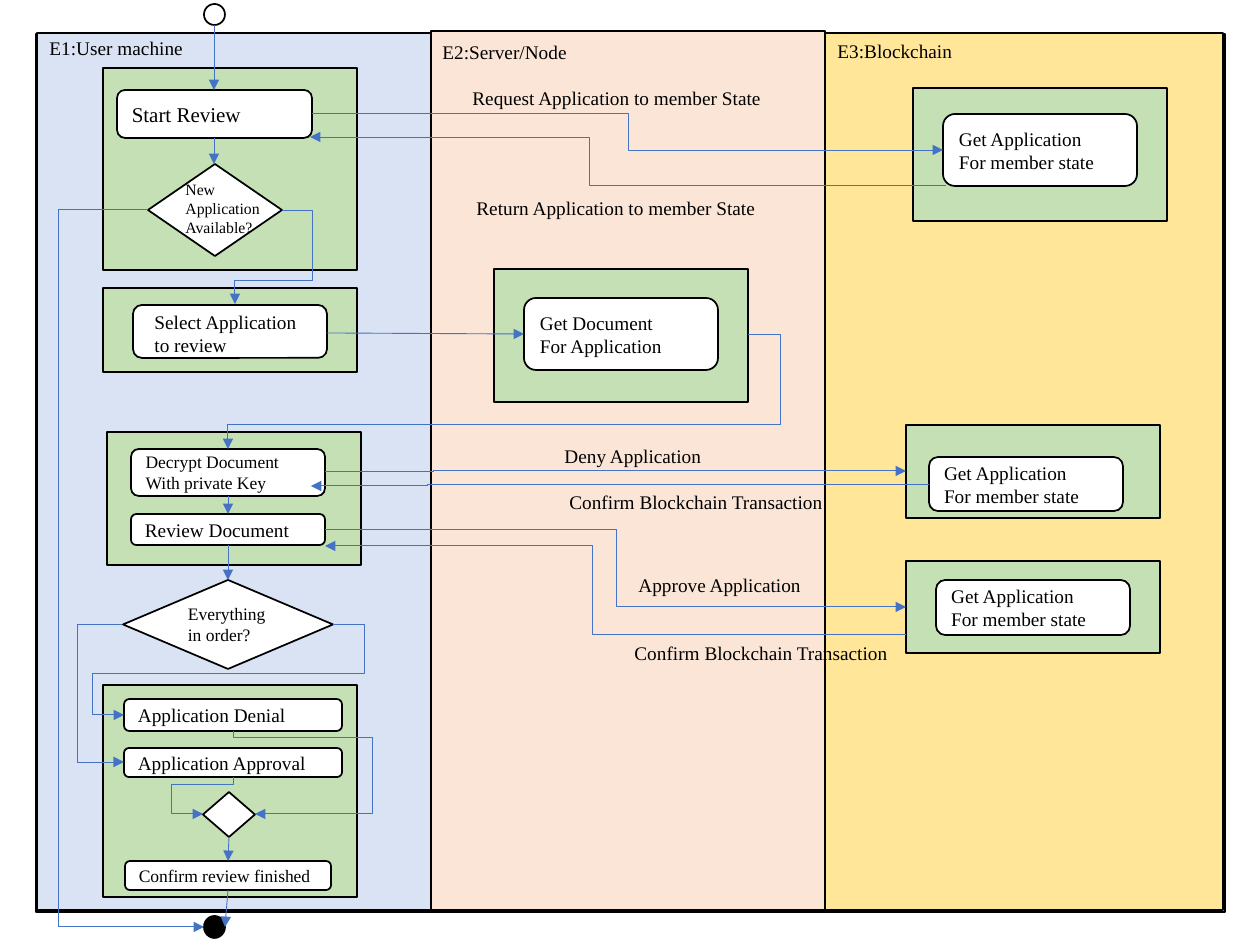
from lxml.etree import SubElement
from pptx import Presentation
from pptx.dml.color import RGBColor
from pptx.enum.shapes import MSO_CONNECTOR as LINK, MSO_SHAPE as SHAPE
from pptx.enum.text import MSO_ANCHOR, MSO_AUTO_SIZE, PP_ALIGN
from pptx.oxml.ns import qn
from pptx.util import Emu, Pt

BLACK = RGBColor(0x00, 0x00, 0x00)
WHITE = RGBColor(0xFF, 0xFF, 0xFF)
BLUE = RGBColor(0xDA, 0xE3, 0xF3)
PEACH = RGBColor(0xFB, 0xE5, 0xD6)
GOLD = RGBColor(0xFF, 0xE6, 0x99)
GREEN = RGBColor(0xC5, 0xE0, 0xB4)
FLOW = RGBColor(0x44, 0x72, 0xC4)
SCALE = 914400 / 126
RECT, ROUND = SHAPE.RECTANGLE, SHAPE.ROUNDED_RECTANGLE
DIAMOND, OVAL = SHAPE.DIAMOND, SHAPE.OVAL
MEMBER_STATE = "Get Application\nFor member state"
CONFIRM = "Confirm Blockchain Transaction"


def px(*lengths):
    """Turn pixel lengths into EMU."""
    return [Emu(round(length * SCALE)) for length in lengths]


def write(holder, words, size):
    """Put left-aligned black text into a shape, one paragraph per line."""
    frame = holder.text_frame
    frame.word_wrap = True
    frame.text = words
    for paragraph in frame.paragraphs:
        paragraph.alignment = PP_ALIGN.LEFT
        font_format = {"name": "Times New Roman", "size": Pt(size)}
        for key, value in font_format.items():
            setattr(paragraph.font, key, value)
        paragraph.font.color.rgb = BLACK


deck = Presentation()
deck.slide_width, deck.slide_height = px(1260, 945)
slide = deck.slides.add_slide(deck.slide_layouts[6])

# Swimlanes, activity panels and flow nodes: kind, box, fill, words, text size
lanes = [
    (RECT, (36, 34, 1189, 878), WHITE, "", 0),
    (RECT, (37, 33, 411, 877), BLUE, "", 0),
    (RECT, (431, 31, 394, 879), PEACH, "", 0),
    (RECT, (825, 33, 398, 877), GOLD, "", 0),
]
panels = [(RECT, (left, top, 254, height), GREEN, "", 0) for left, top, height in (
    (103, 68, 202), (103, 288, 84), (107, 432, 133), (103, 685, 212),
    (494, 269, 133), (913, 88, 133), (906, 425, 93), (906, 561, 92),
)]
nodes = [
    (DIAMOND, (148, 164, 134, 92), WHITE, "", 0),
    (DIAMOND, (123, 580, 210, 89), WHITE, "Everything in order?", 10),
    (DIAMOND, (203, 792, 52, 45), WHITE, "", 0),
    (ROUND, (117, 90, 195, 48), WHITE, "Start Review", 12),
    (ROUND, (125, 861, 206, 29), WHITE, "Confirm review finished", 10),
    (ROUND, (124, 699, 218, 32), WHITE, "Application Denial", 11),
    (ROUND, (124, 748, 218, 29), WHITE, "Application Approval", 11),
    (ROUND, (131, 514, 194, 31), WHITE, "Review Document", 11),
    (ROUND, (131, 449, 194, 47), WHITE, "Decrypt Document\nWith private Key", 10),
    (ROUND, (133, 305, 194, 53), WHITE, "", 0),
    (ROUND, (943, 114, 194, 72), WHITE, MEMBER_STATE, 11),
    (ROUND, (524, 298, 194, 72), WHITE, "Get Document\nFor Application", 11),
    (ROUND, (929, 457, 194, 54), WHITE, MEMBER_STATE, 11),
    (ROUND, (936, 580, 194, 55), WHITE, MEMBER_STATE, 11),
    (OVAL, (204, 4, 21, 21), WHITE, "", 0),
    (OVAL, (204, 916, 21, 22), BLACK, "", 0),
]
side_middles = {0: (0.5, 0), 1: (0, 0.5), 2: (0.5, 1), 3: (1, 0.5)}
oval_left = {2: (0, 0.5)}
sites = []
for kind, box, fill, words, size in lanes + panels + nodes:
    node = slide.shapes.add_shape(kind, *px(*box))
    node.shadow.inherit = False
    node.fill.solid()
    node.fill.fore_color.rgb = fill
    node.line.color.rgb = BLACK
    node.line.width = Pt(1)
    if words:
        write(node, words, size)
        node.text_frame.vertical_anchor = MSO_ANCHOR.MIDDLE
    left, top, width, height = box
    for index, (across, down) in (oval_left if kind == OVAL else side_middles).items():
        sites.append((left + across * width, top + down * height, node, index))

captions = [
    ((173, 174, 108, 71), "New\nApplication\nAvailable?", 9),
    ((142, 304, 185, 59), "Select Application to review", 11),
    ((557, 484, 301, 37), CONFIRM, 11),
    ((552, 438, 256, 37), "Deny Application", 11),
    ((626, 567, 256, 37), "Approve Application", 11),
    ((622, 635, 291, 59), CONFIRM, 11),
    ((460, 80, 320, 37), "Request Application to member State", 11),
    ((464, 190, 320, 37), "Return Application to member State", 11),
    ((825, 33, 320, 37), "E3:Blockchain", 11),
    ((430, 34, 320, 37), "E2:Server/Node", 11),
    ((37, 30, 320, 37), "E1:User machine", 11),
]
for box, words, size in captions:
    caption = slide.shapes.add_textbox(*px(*box))
    write(caption, words, size)
    caption.text_frame.auto_size = MSO_AUTO_SIZE.SHAPE_TO_FIT_TEXT

# Flows: begin, bends (x, y, x in turn), end, end that carries the arrow
flows = [
    ((214, 25), (), (214, 90), "tailEnd"),
    ((214, 138), (), (214, 164), "tailEnd"),
    ((148, 210), (58,), (204, 927), "tailEnd"),
    ((282, 210), (313, 280), (235, 304), "tailEnd"),
    ((327, 333), (), (524, 334), "tailEnd"),
    ((748, 335), (780, 425), (228, 449), "tailEnd"),
    ((228, 496), (), (228, 514), "tailEnd"),
    ((228, 545), (), (228, 580), "tailEnd"),
    ((333, 624), (365, 674, 92), (124, 715), "tailEnd"),
    ((122, 624), (77,), (124, 762), "tailEnd"),
    ((203, 814), (171, 785), (233, 777), "headEnd"),
    ((229, 837), (), (228, 861), "tailEnd"),
    ((255, 814), (373, 738), (233, 731), "headEnd"),
    ((228, 890), (), (225, 927), "tailEnd"),
    ((325, 472), (433,), (906, 471), "tailEnd"),
    ((929, 484), (428,), (311, 486), "tailEnd"),
    ((325, 529), (616,), (906, 607), "tailEnd"),
    ((906, 635), (592,), (325, 546), "tailEnd"),
    ((312, 114), (628,), (943, 150), "tailEnd"),
    ((946, 186), (589,), (310, 137), "tailEnd"),
]
for begin, bends, end, arrow in flows:
    kind = LINK.ELBOW if bends else LINK.STRAIGHT
    flow = slide.shapes.add_connector(kind, *px(*begin, *end))
    for (x, y), attach in ((begin, flow.begin_connect), (end, flow.end_connect)):
        for site_x, site_y, node, index in sites:
            if abs(site_x - x) <= 2 and abs(site_y - y) <= 2:
                attach(node, index)
    flow.begin_x, flow.begin_y = px(*begin)
    flow.end_x, flow.end_y = px(*end)
    flow.line.color.rgb = FLOW
    flow.line.width = Pt(0.5)
    properties = flow._element.spPr
    SubElement(properties.find(qn("a:ln")), qn(f"a:{arrow}"), type="triangle")
    SubElement(properties, qn("a:effectLst"))
    if bends:
        geometry = properties.find(qn("a:prstGeom"))
        geometry.set("prst", f"bentConnector{len(bends) + 2}")
        guides = geometry.find(qn("a:avLst"))
        if guides is None:
            guides = SubElement(geometry, qn("a:avLst"))
        for number, bend in enumerate(bends):
            axis = number % 2
            share = (bend - begin[axis]) / (end[axis] - begin[axis])
            SubElement(guides, qn("a:gd"), name=f"adj{number + 1}",
                       fmla=f"val {round(share * 100000)}")

deck.save("out.pptx")
